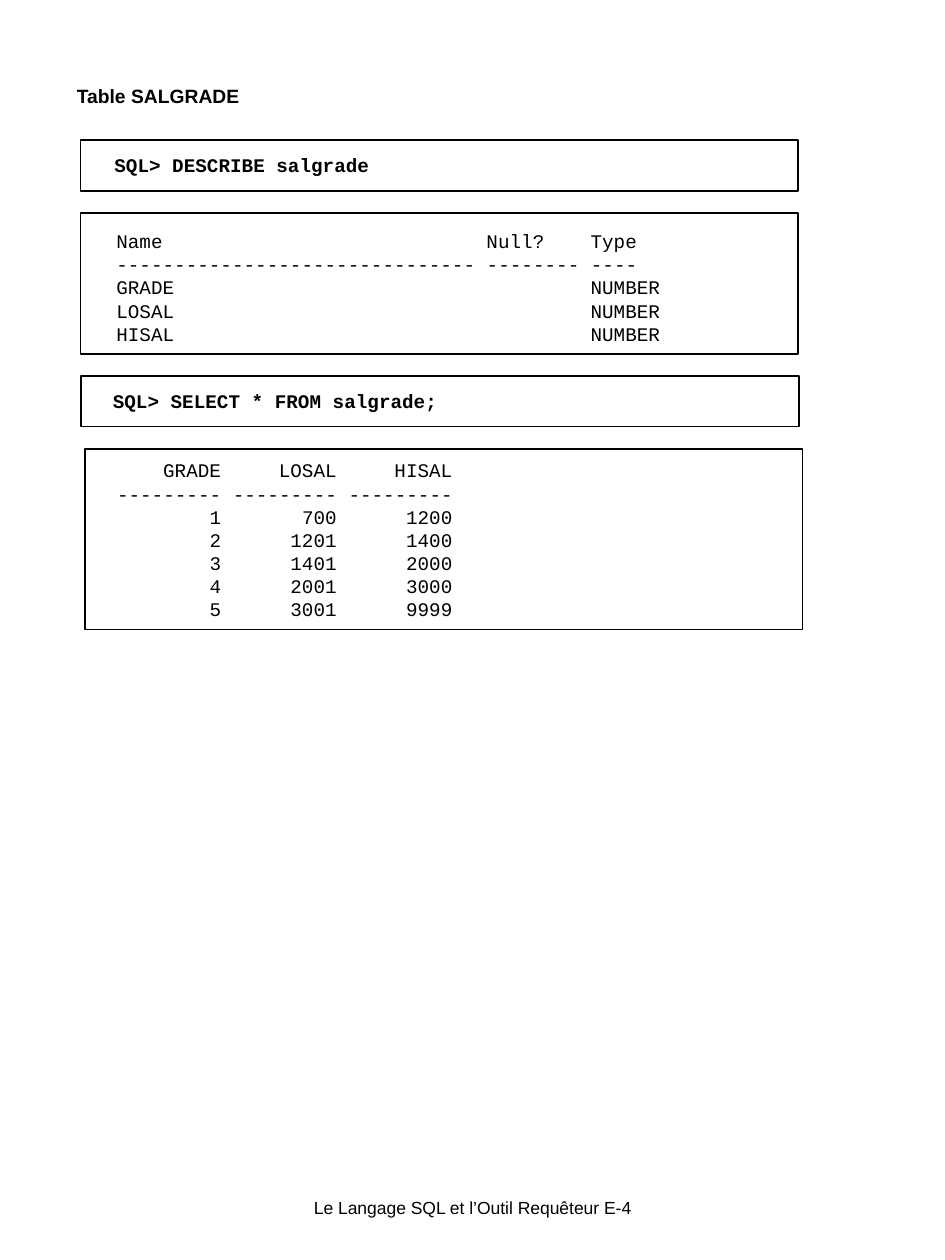
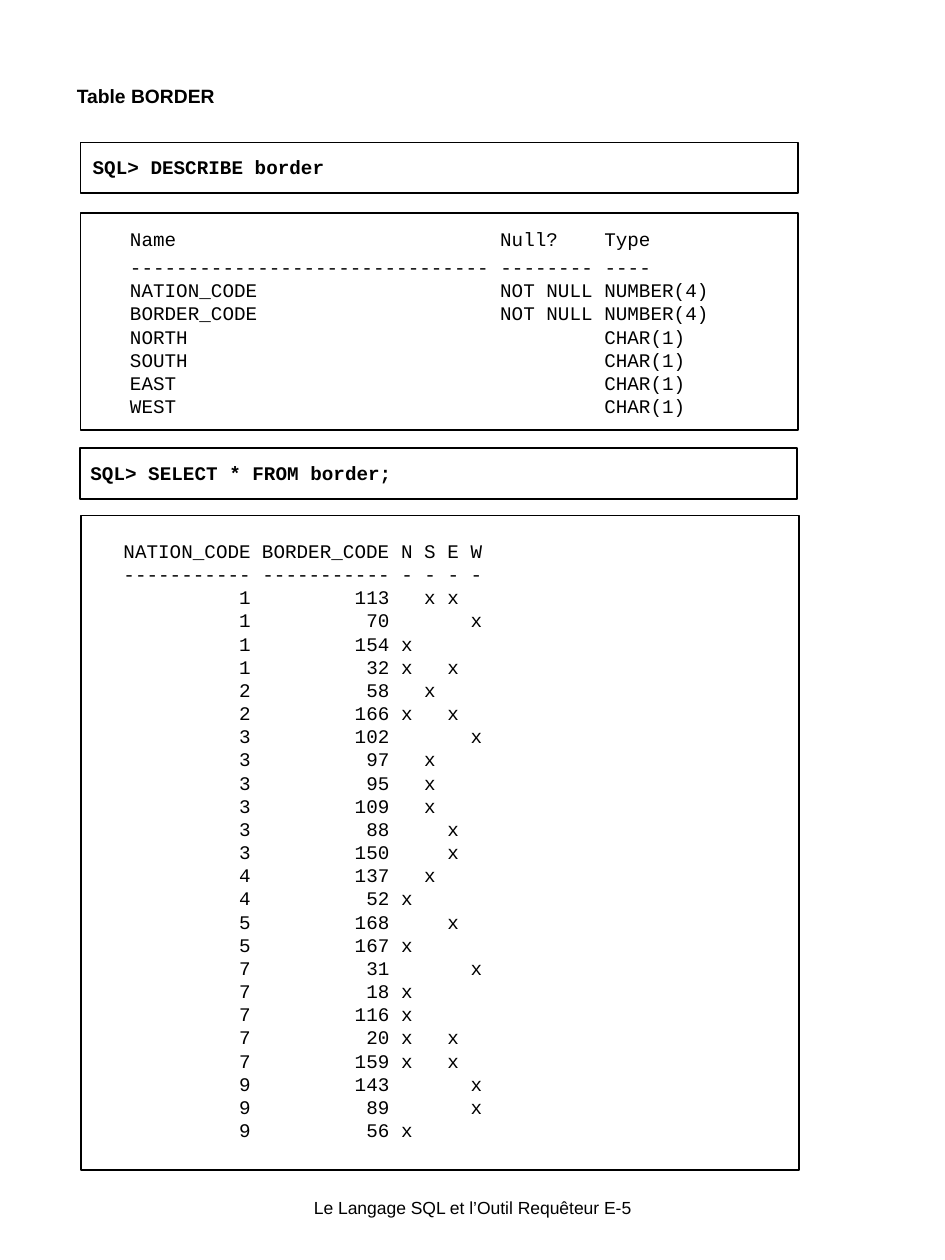
import pptx
import pptx.util
import pptx.dml.color
import pptx.enum.shapes
import pptx.enum.text
import lxml.etree
from pptx.oxml.ns import qn

Pt = pptx.util.Pt
ALIGN = pptx.enum.text.PP_ALIGN

COLORS = {"ink": "000000", "paper": "FFFFFF"}
SANS, MONO = "Arial", "Courier New"
CODE_SIZE = 11
CHAR = 6.61  # advance of one monospaced character
LINE = 13.23  # pitch of the listing lines
PAD_X, PAD_Y = 7.2, 3.6
FRAME_WIDTH = 410
COMMAND_HEIGHT = 29


def rgb(name):
    return pptx.dml.color.RGBColor.from_string(COLORS[name])


def add_text(p, text, font=SANS, size=11, bold=False, color="ink",
             align=ALIGN.LEFT, spacing=None, after=0):
    p.alignment = align
    p.space_after = Pt(after)
    if spacing:
        p.line_spacing = spacing
    r = p.add_run()
    r.text = text
    r.font.name, r.font.size, r.font.bold = font, Pt(size), bold
    r.font.color.rgb = rgb(color)


def add_tabs(p, stops):
    """Set tab stops given as (position in points, 'l' or 'r')."""
    tabs = lxml.etree.SubElement(p._p.get_or_add_pPr(), qn("a:tabLst"))
    for pos, side in stops:
        lxml.etree.SubElement(tabs, qn("a:tab"), pos=str(int(Pt(pos))), algn=side)


class Page:
    def __init__(self, prs):
        self.prs = prs
        self.slide = None

    def start(self, title, number):
        self.slide = self.prs.slides.add_slide(self.prs.slide_layouts[6])
        fill = self.slide.background.fill
        fill.solid()
        fill.fore_color.rgb = rgb("paper")
        tf = self.text_box(37.4, 44, 420, 22, 6.5, 2.9)
        add_text(tf.paragraphs[0], title, bold=True, spacing=1.1)
        tf = self.text_box(61.2, 684, 417.6, 12.2, 0, 0)
        add_text(tf.paragraphs[0], f"Le Langage SQL et l’Outil Requêteur E-{number}",
                 size=10, align=ALIGN.CENTER)

    def text_box(self, x, y, w, h, pad_x=PAD_X, pad_y=PAD_Y):
        sp = self.slide.shapes.add_textbox(Pt(x), Pt(y), Pt(w), Pt(h))
        tf = sp.text_frame
        tf.word_wrap = True
        tf.margin_left = tf.margin_right = Pt(pad_x)
        tf.margin_top = tf.margin_bottom = Pt(pad_y)
        return tf

    def frame(self, x, y, h):
        sp = self.slide.shapes.add_shape(pptx.enum.shapes.MSO_SHAPE.RECTANGLE,
                                         Pt(x), Pt(y), Pt(FRAME_WIDTH), Pt(h))
        sp.shadow.inherit = False
        sp.fill.background()
        sp.line.color.rgb = rgb("ink")
        sp.line.width = Pt(1)

    def command(self, statement, frame, text_x):
        """Draw a framed prompt; frame is (left, top)."""
        x, y = frame
        self.frame(x, y, COMMAND_HEIGHT)
        tf = self.text_box(text_x, y + 3.9, 260, 20.2)
        add_text(tf.paragraphs[0], "SQL> " + statement, MONO, CODE_SIZE,
                 bold=True, spacing=Pt(LINE))

    def listing(self, columns, rows, frame, at, header_gap=0):
        """Draw framed query output.

        columns holds (heading, width in characters, side); frame is
        (left, top, height); at is the (left, top) of the text.
        """
        self.frame(*frame)
        stops, start = [], 0
        for _, width, side in columns:
            edge = start + width if side == "r" else start
            stops.append((edge * CHAR, side))
            start += width + 1
        lead = "\t" if columns[0][2] == "r" else ""
        if not lead:
            stops = stops[1:]
        cells = [[heading for heading, _, _ in columns]] + rows
        lines = [lead + "\t".join(map(str, row)).rstrip("\t") for row in cells]
        lines.insert(1, " ".join("-" * width for _, width, _ in columns))
        tf = self.text_box(*at, 360, len(lines) * LINE + 2 * PAD_Y)
        for i, line in enumerate(lines):
            p = tf.add_paragraph() if i else tf.paragraphs[0]
            add_tabs(p, stops)
            add_text(p, line, MONO, CODE_SIZE, spacing=Pt(LINE),
                     after=0 if i else header_gap)


DESCRIBE_COLUMNS = [("Name", 31, "l"), ("Null?", 8, "l"), ("Type", 4, "l")]
SALGRADE_COLUMNS = [(name, 9, "r") for name in ("GRADE", "LOSAL", "HISAL")]
SALGRADE_ROWS = [[1, 700, 1200], [2, 1201, 1400], [3, 1401, 2000],
                 [4, 2001, 3000], [5, 3001, 9999]]
DIRECTIONS = "NSEW"
BORDER_COLUMNS = ([("NATION_CODE", 11, "r"), ("BORDER_CODE", 11, "r")]
                  + [(d, 1, "l") for d in DIRECTIONS])
BORDERS = [
    (1, 113, "SE"), (1, 70, "W"), (1, 154, "N"), (1, 32, "NE"),
    (2, 58, "S"), (2, 166, "NE"),
    (3, 102, "W"), (3, 97, "S"), (3, 95, "S"), (3, 109, "S"), (3, 88, "E"), (3, 150, "E"),
    (4, 137, "S"), (4, 52, "N"),
    (5, 168, "E"), (5, 167, "N"),
    (7, 31, "W"), (7, 18, "N"), (7, 116, "N"), (7, 20, "NE"), (7, 159, "NE"),
    (9, 143, "W"), (9, 89, "W"), (9, 56, "N"),
]


def salgrade_slide(page):
    page.start("Table SALGRADE", 4)
    page.command("DESCRIBE salgrade", (46, 80), 58.3)
    page.listing(DESCRIBE_COLUMNS,
                 [[name, "", "NUMBER"] for name in ("GRADE", "LOSAL", "HISAL")],
                 frame=(46, 121.8, 80.5), at=(59.4, 127.5))
    page.command("SELECT * FROM salgrade;", (46.5, 214.8), 57.4)
    page.listing(SALGRADE_COLUMNS, SALGRADE_ROWS,
                 frame=(48.7, 256.8, 103), at=(59.8, 258.5))


def border_slide(page):
    page.start("Table BORDER", 5)
    page.command("DESCRIBE border", (46, 81.4), 45.9)
    codes = [[name, "NOT NULL", "NUMBER(4)"] for name in ("NATION_CODE", "BORDER_CODE")]
    sides = [[name, "", "CHAR(1)"] for name in ("NORTH", "SOUTH", "EAST", "WEST")]
    page.listing(DESCRIBE_COLUMNS, codes + sides, frame=(46, 121.8, 124),
                 at=(67.2, 126.3), header_gap=2.8)
    page.command("SELECT * FROM border;", (45.6, 256.2), 44.6)
    rows = [[nation, border] + ["x" if d in marks else "" for d in DIRECTIONS]
            for nation, border, marks in BORDERS]
    page.listing(BORDER_COLUMNS, rows, frame=(46.5, 294.6, 374), at=(63.5, 304.5))


def main():
    prs = pptx.Presentation()
    prs.slide_width, prs.slide_height = Pt(540), Pt(720)
    page = Page(prs)
    salgrade_slide(page)
    border_slide(page)
    prs.save("out.pptx")


if __name__ == "__main__":
    main()
